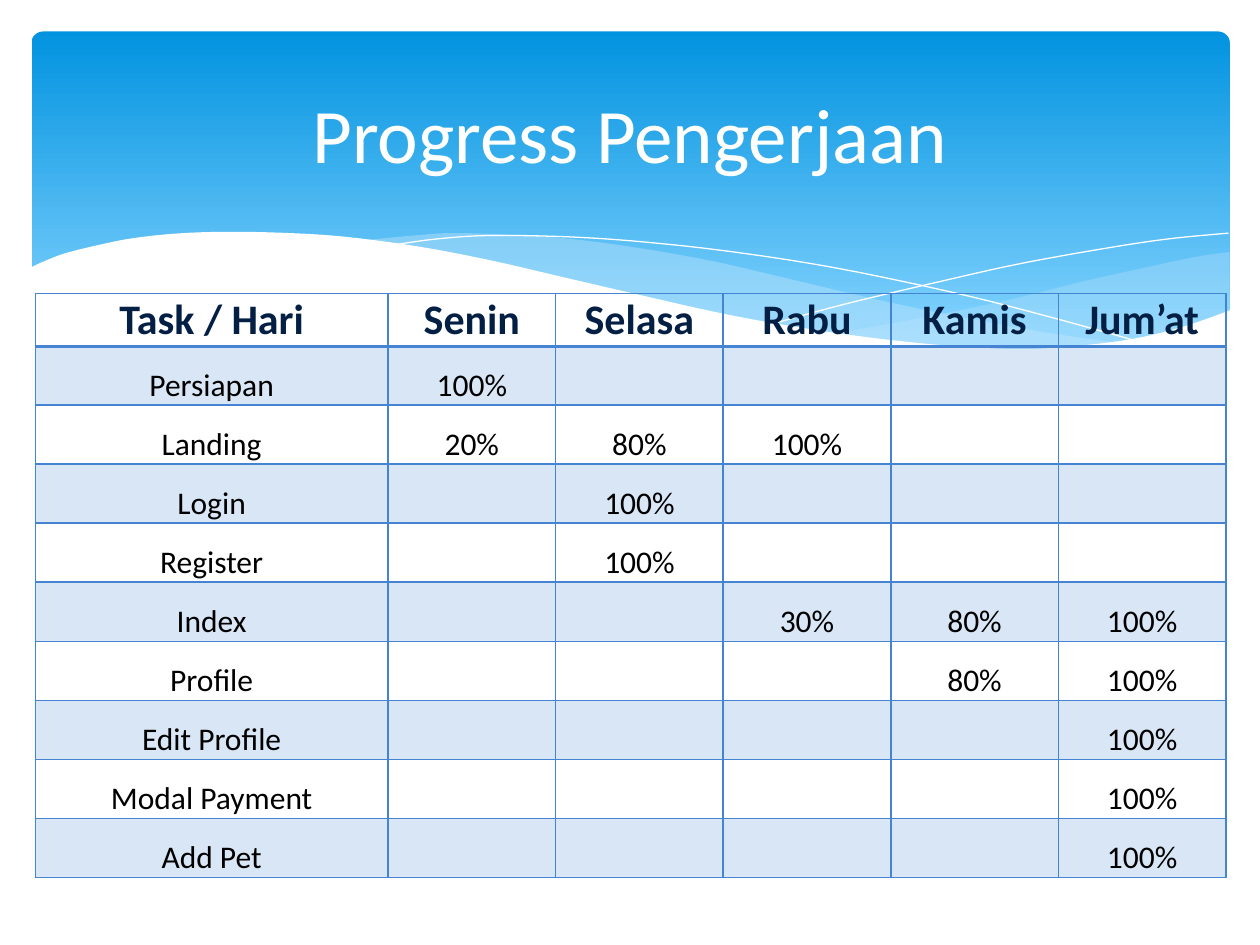
from lxml import etree
from pptx import Presentation
from pptx.dml.color import RGBColor
from pptx.enum.shapes import MSO_SHAPE
from pptx.enum.text import MSO_ANCHOR, PP_ALIGN
from pptx.oxml.ns import qn
from pptx.util import Inches, Pt

ROUND = MSO_SHAPE.ROUNDED_RECTANGLE
MIDDLE = MSO_ANCHOR.MIDDLE
CENTER = PP_ALIGN.CENTER
BLUE = "4584D3"
PALE = "C6E7FC"
WHITE = "FFFFFF"
STEPS = 6

RIGHT_TOP = [(9.76, 2), (9.48, 2.04), (9.06, 2.13), (8.61, 2.23),
             (8.05, 2.37), (7.53, 2.48), (7.06, 2.57), (6.61, 2.65)]
RIGHT_LOW = [(6.61, 2.65), (7.05, 2.71), (7.57, 2.76), (8.03, 2.78),
             (8.54, 2.76), (8.97, 2.7), (9.35, 2.62), (9.76, 2.47)]
MID_TOP = [(8.93, 2.73), (8.37, 2.65), (7.75, 2.54), (7.06, 2.4),
           (6.29, 2.22), (5.69, 2.08), (5.14, 1.98), (4.65, 1.91),
           (4.2, 1.87), (3.61, 1.85), (3.28, 1.87), (2.86, 1.91)]
MID_LOW = [(2.86, 1.91), (3.42, 1.99), (4.04, 2.11), (4.49, 2.22),
           (5.3, 2.4), (6.01, 2.55), (6.65, 2.66), (7.22, 2.74),
           (7.73, 2.77), (8.18, 2.78), (8.57, 2.77), (8.93, 2.73)]
LONG_LINE = [(3.09, 1.95), (3.44, 1.9), (3.87, 1.87), (4.5, 1.88),
             (5.1, 1.92), (5.82, 2), (6.65, 2.13), (7.6, 2.33),
             (8.31, 2.51), (9.07, 2.72)]
RISE_LINE = [(6.13, 2.57), (6.72, 2.41), (7.48, 2.23), (8.06, 2.1),
             (8.66, 1.99), (9.24, 1.9), (9.75, 1.85)]
EDGE = [(9.77, 2.46), (9.4, 2.59), (8.99, 2.69), (8.5, 2.75),
        (8.09, 2.77), (7.61, 2.75), (7.08, 2.7), (6.48, 2.62),
        (5.79, 2.5), (5.03, 2.33), (4.47, 2.2), (3.91, 2.07),
        (3.4, 1.97), (2.92, 1.9), (2.5, 1.86), (1.93, 1.84),
        (1.46, 1.85), (1.06, 1.89), (0.76, 1.95), (0.52, 2.01),
        (0.36, 2.07), (0.23, 2.13)]

DAYS = ["Task / Hari", "Senin", "Selasa", "Rabu", "Kamis", "Jum’at"]
TASKS = [
    ("Persiapan", {1: "100%"}),
    ("Landing", {1: "20%", 2: "80%", 3: "100%"}),
    ("Login", {2: "100%"}),
    ("Register", {2: "100%"}),
    ("Index", {3: "30%", 4: "80%", 5: "100%"}),
    ("Profile", {4: "80%", 5: "100%"}),
    ("Edit Profile", {5: "100%"}),
    ("Modal Payment", {5: "100%"}),
    ("Add Pet", {5: "100%"}),
]


def paint(color):
    return RGBColor.from_string(color)


def fade(node, alpha):
    for tint in node.iter(qn("a:srgbClr")):
        etree.SubElement(tint, qn("a:alpha"), val=str(alpha * 1000))


def write(frame, text, size=18, color="000000", bold=False, space=1.0):
    frame.word_wrap = True
    para = frame.paragraphs[0]
    para.alignment = CENTER
    para.line_spacing = space
    run = para.add_run()
    run.text = text
    font = run.font
    font.name, font.size, font.bold = "Calibri", Pt(size), bold
    font.color.rgb = paint(color)


def bend(knots):
    ends = [knots[0], *knots, knots[-1]]
    dots = [knots[0]]
    for a, b, c, d in zip(ends, ends[1:], ends[2:], ends[3:]):
        for step in range(1, STEPS + 1):
            t = step / STEPS
            dots.append(tuple(
                (2 * q + (r - p) * t + (2 * p - 5 * q + 4 * r - s) * t**2
                 + (3 * q - p - 3 * r + s) * t**3) / 2
                for p, q, r, s in zip(a, b, c, d)))
    return dots


def trace(slide, dots, close):
    spots = [(Inches(x), Inches(y)) for x, y in dots]
    pen = slide.shapes.build_freeform(*spots[0])
    pen.add_line_segments(spots[1:], close=close)
    shape = pen.convert_to_shape()
    shape.shadow.inherit = False
    return shape


def add_wave(slide, dots, color, alpha=100):
    wave = trace(slide, dots, True)
    wave.fill.solid()
    wave.fill.fore_color.rgb = paint(color)
    wave.line.fill.background()
    if alpha < 100:
        fade(wave.element.spPr, alpha)


def add_line(slide, knots):
    line = trace(slide, bend(knots), False)
    line.fill.background()
    line.line.color.rgb = paint(WHITE)
    line.line.width = Pt(0)


def add_banner(slide, left, top, width, height):
    panel = slide.shapes.add_shape(ROUND, left, top, width, height)
    panel.adjustments[0] = 0.034
    panel.shadow.inherit = False
    panel.line.fill.background()
    panel.fill.gradient()
    panel.fill.gradient_angle = 270
    stops = [(0, "0293E0"), (0.9, "83D3FE")]
    for stop, (place, color) in zip(panel.fill.gradient_stops, stops):
        stop.position = place
        stop.color.rgb = paint(color)
    add_wave(slide, bend(RIGHT_TOP) + bend(RIGHT_LOW), PALE, 29)
    add_wave(slide, bend(MID_TOP) + bend(MID_LOW), PALE, 40)
    add_line(slide, LONG_LINE)
    add_line(slide, RISE_LINE)
    add_wave(slide, bend(EDGE) + [(0.23, 3.29), (9.77, 3.29)], WHITE)


def add_title(slide, left, top, width, height):
    title = slide.shapes.title
    title.element.getparent().append(title.element)
    title.left, title.top, title.width, title.height = left, top, width, height
    title.text_frame.vertical_anchor = MIDDLE
    write(title.text_frame, "Progress Pengerjaan", size=44, color=WHITE)


def style_cell(cell, row):
    cell.vertical_anchor = MIDDLE
    cell.margin_left = cell.margin_right = cell.margin_top = Inches(0.01)
    cell.margin_bottom = 0
    props = cell._tc.get_or_add_tcPr()
    if row % 2:
        cell.fill.solid()
        cell.fill.fore_color.rgb = paint(BLUE)
        fade(props, 20)
    else:
        cell.fill.background()
    thick = {"lnT": row == 1, "lnB": row == 0}
    for spot, side in enumerate(("lnL", "lnR", "lnT", "lnB")):
        width = Pt(2 if thick.get(side) else 1)
        edge = etree.Element(qn("a:" + side), w=str(width))
        solid = etree.SubElement(edge, qn("a:solidFill"))
        etree.SubElement(solid, qn("a:srgbClr"), val=BLUE)
        props.insert(spot, edge)


def add_grid(slide, left, top, width, height):
    count = len(TASKS) + 1
    table = slide.shapes.add_table(
        count, len(DAYS), left, top, width, height).table
    table.horz_banding = False
    first, head = Inches(2.8), Inches(0.41)
    for col, column in enumerate(table.columns):
        column.width = (width - first) // (len(DAYS) - 1) if col else first
    for row, line in enumerate(table.rows):
        line.height = (height - head) // len(TASKS) if row else head
        for col, cell in enumerate(line.cells):
            style_cell(cell, row)
            if row == 0:
                write(cell.text_frame, DAYS[col], size=24, color="041F44",
                      bold=True)
                continue
            task, done = TASKS[row - 1]
            text = done.get(col) if col else task
            if text:
                write(cell.text_frame, text, space=1.5)


def main():
    deck = Presentation()
    deck.slide_width, deck.slide_height = Inches(10), Inches(7.5)
    slide = deck.slides.add_slide(deck.slide_layouts[5])
    add_banner(slide, Inches(0.25), Inches(0.25), Inches(9.51), Inches(2.7))
    add_title(slide, Inches(0.5), Inches(0.37), Inches(9), Inches(1.37))
    add_grid(slide, Inches(0.28), Inches(2.33), Inches(9.45), Inches(4.63))
    deck.save("out.pptx")


if __name__ == "__main__":
    main()
